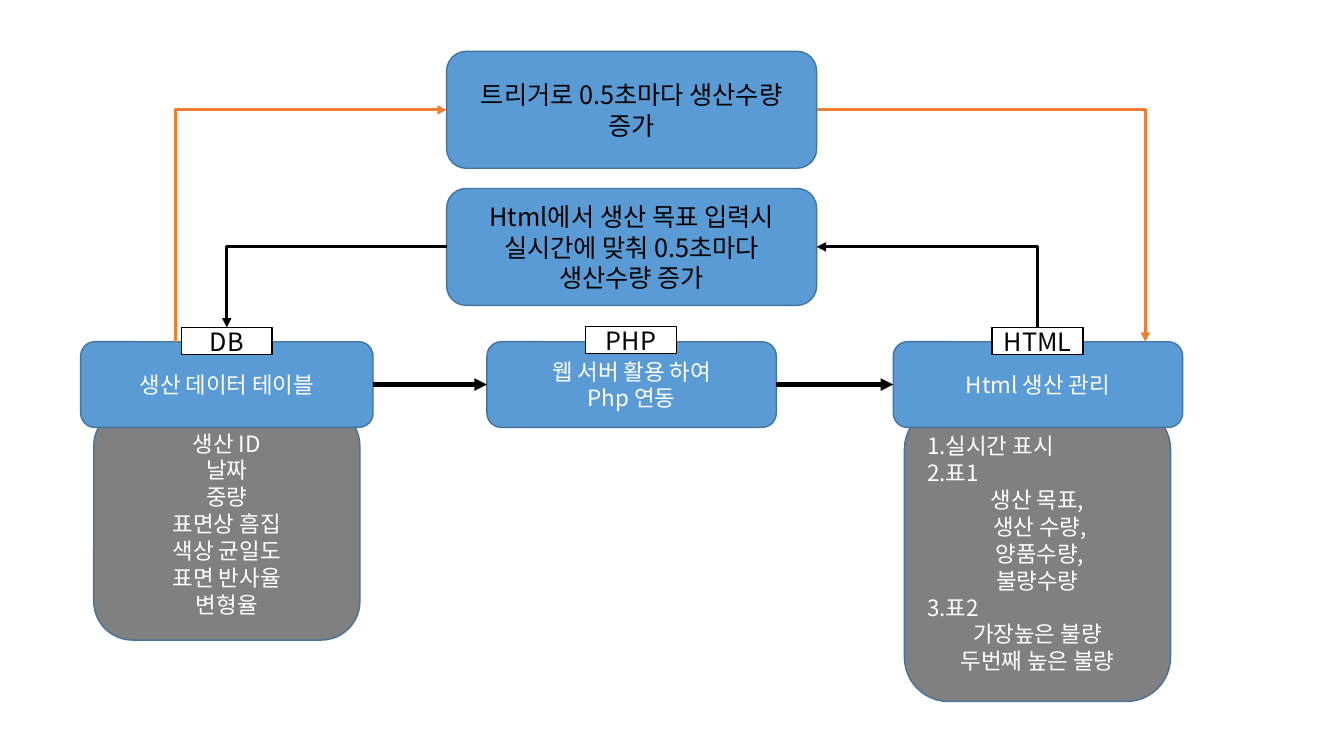
from pptx import Presentation
from pptx.dml.color import RGBColor as Rgb
from pptx.enum.shapes import MSO_CONNECTOR as Link, MSO_SHAPE as Form
from pptx.enum.text import MSO_ANCHOR as Anchor, PP_ALIGN as Align
from pptx.oxml.ns import qn
from pptx.util import Inches, Pt
from lxml.etree import SubElement as Sub

FONT = "Noto Sans CJK KR"
HEX = {"blue": "5B9BD5", "edge": "43739E", "gray": "808080",
       "white": "FFFFFF", "black": "000000", "orange": "ED7D31"}

STYLES = {
    "panel": (Form.ROUNDED_RECTANGLE, "gray", "edge", "white", 16),
    "stage": (Form.ROUNDED_RECTANGLE, "blue", "edge", "white", 16),
    "event": (Form.ROUNDED_RECTANGLE, "blue", "edge", "black", 18),
    "tag": (Form.RECTANGLE, "white", "black", "black", 18),
}
PANELS = [
    (8.97, 4.02, 2.94, ["1.실시간 표시", "2.표1", "생산 목표,", " 생산 수량,", " 양품수량,",
                        "불량수량", "3.표2", "가장높은 불량", "두번째 높은 불량"]),
    (0.93, 4.04, 2.31, ["생산 ID", "날짜", "중량", "표면상 흠집", "색상 균일도",
                        "표면 반사율", "변형율"]),
]
STAGES = [
    (0.8, 2.9, ["생산 데이터 테이블"]),
    (4.83, 2.87, ["웹 서버 활용 하여", "Php 연동"]),
    (8.86, 2.87, ["Html 생산 관리"]),
]
EVENTS = [
    (0.51, ["트리거로 0.5초마다 생산수량 증가"]),
    (1.87, ["Html에서 생산 목표 입력시 실시간에 맞춰 0.5초마다 생산수량 증가"]),
]
TAGS = [(1.8, 3.25, "DB"), (5.81, 3.24, "PHP"), (9.84, 3.25, "HTML")]
STAGE_Y, STAGE_H = 3.39, 0.85
EVENT_X, EVENT_W, EVENT_H = 4.43, 3.67, 1.16
TAG_W, TAG_H = 0.9, 0.27

deck = Presentation()
deck.slide_width, deck.slide_height = Inches(13.33), Inches(7.5)
slide = deck.slides.add_slide(deck.slide_layouts[6])


def color(name):
    return Rgb.from_string(HEX[name])


def add_box(style, x, y, w, h, lines):
    form, fill, edge, ink, size = STYLES[style]
    box = slide.shapes.add_shape(form, *map(Inches, (x, y, w, h)))
    box.shadow.inherit = False
    box.fill.solid()
    box.fill.fore_color.rgb = color(fill)
    box.line.color.rgb = color(edge)
    box.line.width = Pt(1)
    frame = box.text_frame
    frame.word_wrap = True
    frame.vertical_anchor = Anchor.MIDDLE
    for i, line in enumerate(lines):
        para = frame.paragraphs[0] if i == 0 else frame.add_paragraph()
        para.alignment = Align.LEFT if line[1:2] == "." else Align.CENTER
        run = para.add_run()
        run.text = line
        run.font.name, run.font.size = FONT, Pt(size)
        run.font.color.rgb = color(ink)
        Sub(run.font._element, qn("a:ea"), typeface=FONT)


def add_arrow(kind, start, end, ink, width):
    line = slide.shapes.add_connector(kind, *map(Inches, start + end))
    line.line.color.rgb = color(ink)
    line.line.width = Pt(width)
    props = line._element.spPr
    Sub(props.find(qn("a:ln")), qn("a:tailEnd"), type="triangle")
    Sub(props, qn("a:effectLst"))
    return props


def add_bend(start, end, ink, rise):
    (x1, y1), (x2, y2) = start, end
    if rise:
        mid_x, mid_y = (x1 + x2) / 2, (y1 + y2) / 2
        half_w, half_h = abs(y2 - y1) / 2, (x2 - x1) / 2
        start = (mid_x - half_w, mid_y - half_h)
        end = (mid_x + half_w, mid_y + half_h)
    props = add_arrow(Link.ELBOW, start, end, ink, 2.25)
    props.find(qn("a:prstGeom")).set("prst", "bentConnector2")
    if rise:
        props.find(qn("a:xfrm")).set("rot", str(270 * 60000))


for x, y, h, lines in PANELS:
    add_box("panel", x, y, 2.64, h, lines)
for x, w, lines in STAGES:
    add_box("stage", x, STAGE_Y, w, STAGE_H, lines)
for (x, w, _), (goal, _, _) in zip(STAGES, STAGES[1:]):
    mid = STAGE_Y + STAGE_H / 2
    add_arrow(Link.STRAIGHT, (x + w, mid), (goal, mid), "black", 3)
for y, lines in EVENTS:
    add_box("event", EVENT_X, y, EVENT_W, EVENT_H, lines)

top, low = [y + EVENT_H / 2 for y, _ in EVENTS]
right = EVENT_X + EVENT_W
db, html = [(x + TAG_W / 2, y) for x, y, _ in TAGS[::2]]
add_bend(html, (right, low), "black", True)
add_bend((EVENT_X, low), db, "black", False)
add_bend((1.74, STAGE_Y), (EVENT_X, top), "orange", True)
add_bend((right, top), (11.36, STAGE_Y), "orange", False)

for x, y, name in TAGS:
    add_box("tag", x, y, TAG_W, TAG_H, [name])

deck.save("out.pptx")
